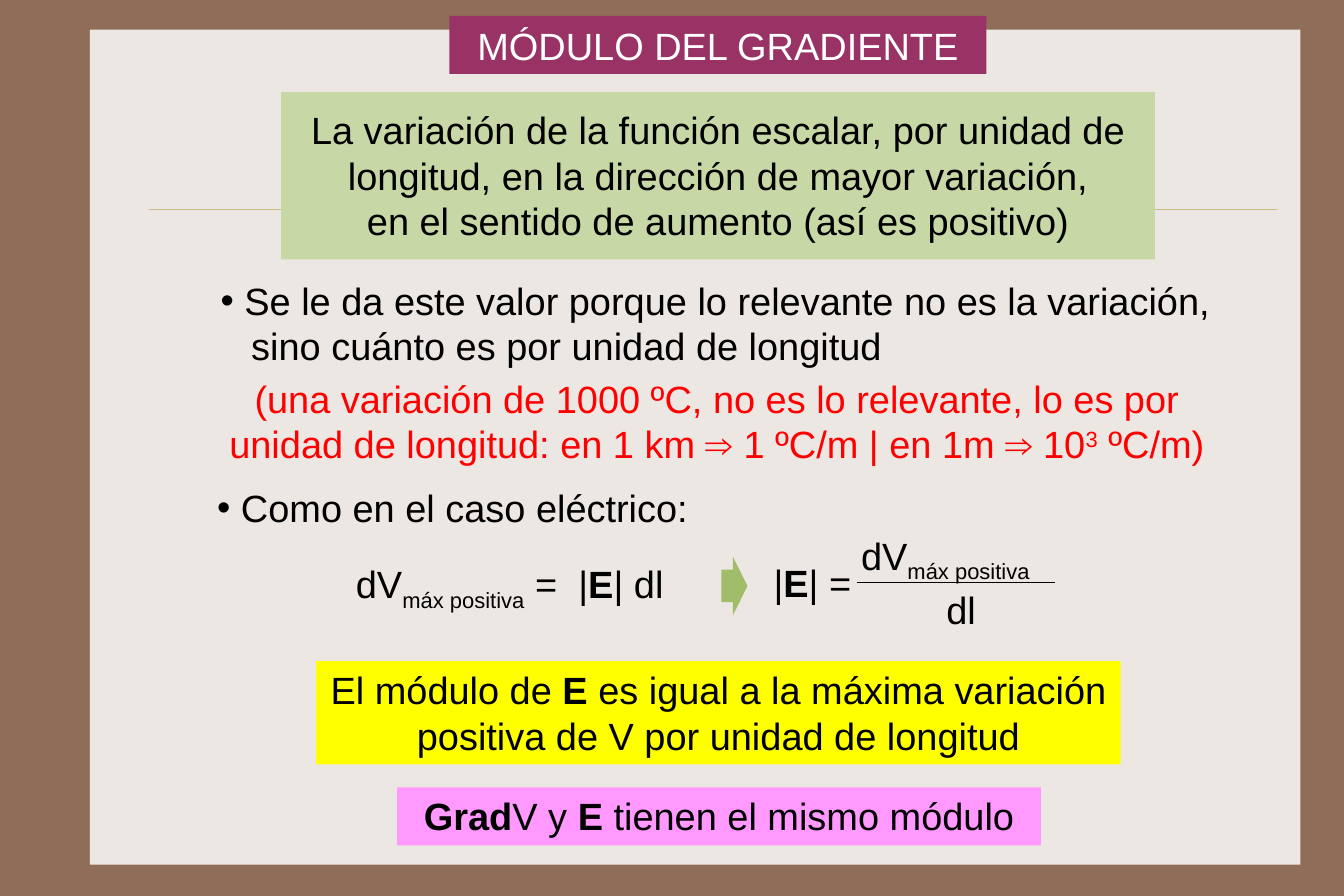
from pptx import Presentation
from pptx.dml.color import RGBColor
from pptx.enum.shapes import MSO_CONNECTOR as Link, MSO_SHAPE as Shape
from pptx.enum.text import MSO_ANCHOR as Anchor, PP_ALIGN as Align
from pptx.oxml.ns import qn
from pptx.util import Inches, Pt
from lxml.etree import SubElement


def color(code):
    return RGBColor.from_string(code)


def write(box, paras, ink="000000", align=Align.LEFT, pad=0.05):
    frame = box.text_frame
    frame.word_wrap = True
    frame.margin_left = frame.margin_right = Inches(0.1)
    frame.margin_top = frame.margin_bottom = Inches(pad)
    for i, (runs, indent, mark) in enumerate(paras):
        para = frame.add_paragraph() if i else frame.paragraphs[0]
        para.alignment = align
        props = para._p.get_or_add_pPr()
        if indent:
            props.set("marL", str(Inches(indent)))
        if mark:
            props.set("indent", str(-Inches(indent)))
            SubElement(props, qn("a:buFont")).set("typeface", "Arial")
            SubElement(props, qn("a:buChar")).set("char", mark)
        para.font.name = "Arial"
        para.font.size = Pt(24)
        para.font.color.rgb = color(ink)
        for text, style in runs:
            run = para.add_run()
            run.text = text
            if style:
                run._r.get_or_add_rPr().set(*style)


deck = Presentation()
deck.slide_height = Inches(63 / 8)
deck.slide_width = deck.slide_height * 3 // 2
slide = deck.slides.add_slide(deck.slide_layouts[6])
slide.background.fill.solid()
slide.background.fill.fore_color.rgb = color("906D58")
shapes = slide.shapes

BOLD = ("b", "1")
SUB = ("baseline", "-25000")
SUPER = ("baseline", "30000")
WIDE = ("spc", "670")
delta = [("dV", ""), ("máx positiva", SUB)]
field = [("|", ""), ("E", BOLD)]

panels = [
    (Shape.RECTANGLE, 0.79, 0.26, 10.64, 7.34, "EDE7E3", [], "000000", 0.05),
    (Shape.RECTANGLE, 2.78, 5.81, 7.07, 0.91, "FFFF00",
     [([("El módulo de ", ""), ("E", BOLD),
        (" es igual a la máxima variación positiva de V por unidad de longitud", "")],
       0, "")], "000000", 0.05),
    (Shape.RECTANGLE, 2.47, 0.81, 7.68, 1.47, "C7D7A5",
     [([("La variación de la función escalar, por unidad de longitud, "
         "en la dirección de mayor variación,", "")], 0, ""),
      ([("en el sentido de aumento (así es positivo)", "")], 0, "")], "000000", 0.13),
    (Shape.RECTANGLE, 3.95, 0.14, 4.72, 0.51, "993366",
     [([("MÓDULO DEL GRADIENTE", "")], 0, "")], "FFFFFF", 0.05),
    (Shape.RIGHT_ARROW, 6.34, 4.89, 0.23, 0.52, "A1BD69", [], "000000", 0.05),
    (Shape.RECTANGLE, 3.49, 6.92, 5.66, 0.51, "FF99FF",
     [([("Grad", BOLD), ("V y ", ""), ("E", BOLD),
        (" tienen el mismo módulo", "")], 0, "")], "000000", 0.05),
]
rules = [(1.31, 11.22, 1.84, "CBBD83", 0.25), (7.53, 9.27, 5.12, "000000", 1)]

for i, (kind, x, y, w, h, fill, paras, ink, pad) in enumerate(panels):
    panel = shapes.add_shape(kind, Inches(x), Inches(y), Inches(w), Inches(h))
    panel.shadow.inherit = False
    panel.fill.solid()
    panel.fill.fore_color.rgb = color(fill)
    panel.line.fill.background()
    if kind == Shape.RIGHT_ARROW:
        panel.adjustments[0] = 0.55
        panel.adjustments[1] = 0.56
    if paras:
        panel.text_frame.vertical_anchor = Anchor.MIDDLE if ink == "FFFFFF" else Anchor.TOP
        write(panel, paras, ink, Align.CENTER, pad)
    if i < len(rules):
        start, end, level, tint, width = rules[i]
        rule = shapes.add_connector(
            Link.STRAIGHT, Inches(start), Inches(level), Inches(end), Inches(level))
        rule.line.color.rgb = color(tint)
        rule.line.width = Pt(width)
        SubElement(rule._element.spPr, qn("a:effectLst"))

notes = [
    (1.84, 2.39, 9, 0.91,
     [([("Se le da este valor porque lo relevante no es la variación,", "")], 0.21, "•"),
      ([("sino cuánto es por unidad de longitud", "")], 0.27, "")]),
    (1.81, 4.21, 4.9, 0.51, [([("Como en el caso eléctrico:", "")], 0.21, "•")]),
    (3.03, 4.88, 3.12, 0.51,
     [(delta + [(" =", ""), (" ", WIDE)] + field + [("| dl", "")], 0, "")]),
    (6.7, 4.87, 0.95, 0.48, [(field + [("| =", "")], 0, "")]),
    (7.47, 4.63, 1.8, 0.43, [(delta, 0, "")]),
    (8.22, 5.11, 0.6, 0.43, [([("dl", "")], 0, "")]),
]
for x, y, w, h, paras in notes:
    write(shapes.add_textbox(Inches(x), Inches(y), Inches(w), Inches(h)), paras)

case = shapes.add_textbox(Inches(1.74), Inches(3.21), Inches(9.12), Inches(0.99))
write(case, [([("(una variación de 1000 ºC, no es lo relevante, lo es por unidad de longitud: "
                "en 1 km ⇒ 1 ºC/m | en 1m ⇒ 10", ""), ("3", SUPER), (" ºC/m)", "")], 0, "")],
      "FF0000", Align.CENTER, 0.09)

deck.save("out.pptx")
